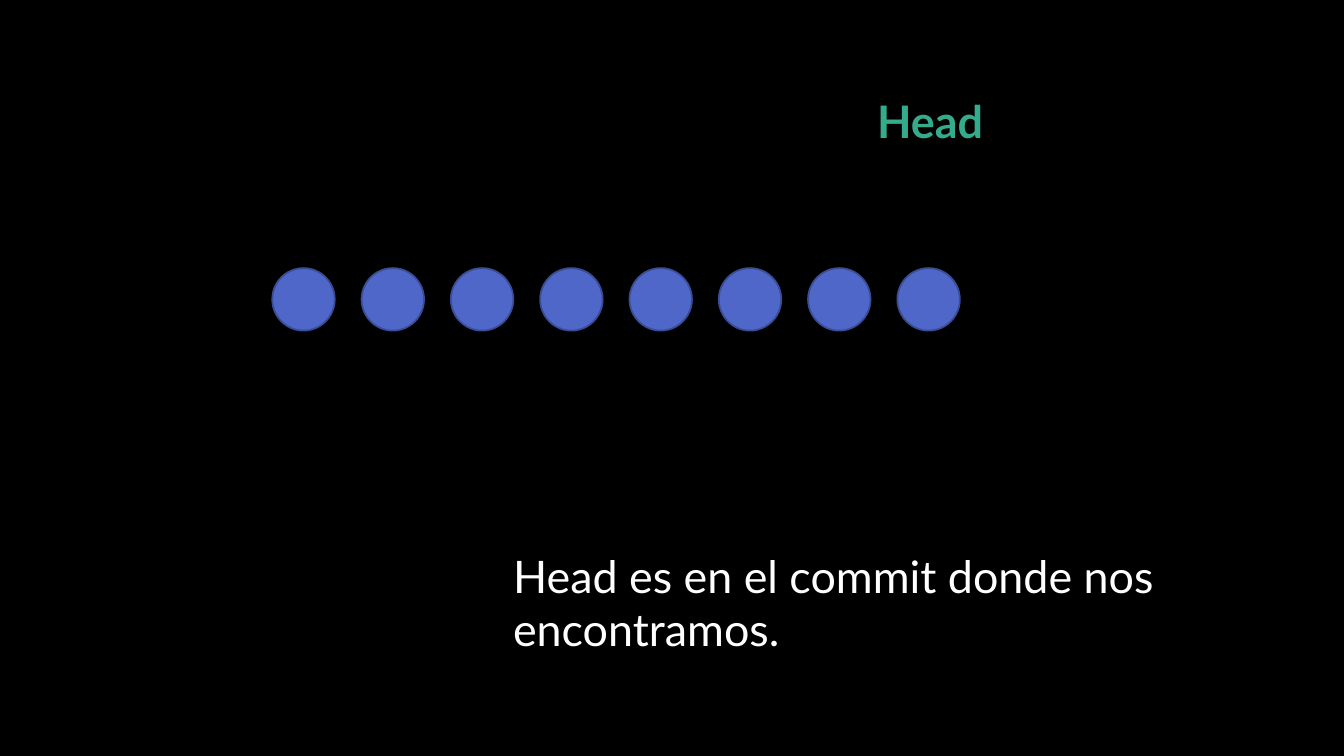
from pptx import Presentation
from pptx.dml.color import RGBColor
from pptx.enum.shapes import MSO_SHAPE as Shape
from pptx.enum.text import MSO_AUTO_SIZE as AutoSize
from pptx.util import Inches, Pt

COMMIT_COUNT = 8
COMMIT_SIZE = 0.62
FIRST_LEFT, LAST_LEFT, COMMIT_TOP = 2.7, 8.9, 2.66


def color(hex_value):
    return RGBColor.from_string(hex_value)


def set_background(slide, hex_value):
    fill = slide.background.fill
    fill.solid()
    fill.fore_color.rgb = color(hex_value)


def add_commit(slide, left):
    shape = slide.shapes.add_shape(
        Shape.FLOWCHART_CONNECTOR, Inches(left), Inches(COMMIT_TOP),
        Inches(COMMIT_SIZE), Inches(COMMIT_SIZE))
    shape.shadow.inherit = False
    shape.fill.solid()
    shape.fill.fore_color.rgb = color("4E67C8")
    shape.line.color.rgb = color("3A4C94")
    shape.line.width = Pt(1.25)


def add_text(slide, text, box, hex_value, **font_format):
    shape = slide.shapes.add_textbox(*map(Inches, box))
    frame = shape.text_frame
    frame.word_wrap = True
    frame.auto_size = AutoSize.SHAPE_TO_FIT_TEXT
    paragraph = frame.paragraphs[0]
    run = paragraph.add_run()
    run.text = text
    for name, value in {"name": "Lato", "size": Pt(32), **font_format}.items():
        setattr(run.font, name, value)
    run.font.color.rgb = color(hex_value)


def main():
    presentation = Presentation()
    presentation.slide_width = Inches(13.33)
    presentation.slide_height = Inches(7.5)
    slide = presentation.slides.add_slide(presentation.slide_layouts[6])
    set_background(slide, "000000")

    # Row of commits
    pitch = (LAST_LEFT - FIRST_LEFT) / (COMMIT_COUNT - 1)
    for index in range(COMMIT_COUNT):
        add_commit(slide, FIRST_LEFT + index * pitch)

    # Head label above the last commit, and its explanation
    add_text(slide, "Head", (8.6, 0.88, 1.45, 0.64), "34AC8B", bold=True)
    add_text(slide, "Head es en el commit donde nos encontramos.",
             (4.99, 5.39, 7.57, 1.18), "FFFFFF")

    presentation.save("out.pptx")


if __name__ == "__main__":
    main()
